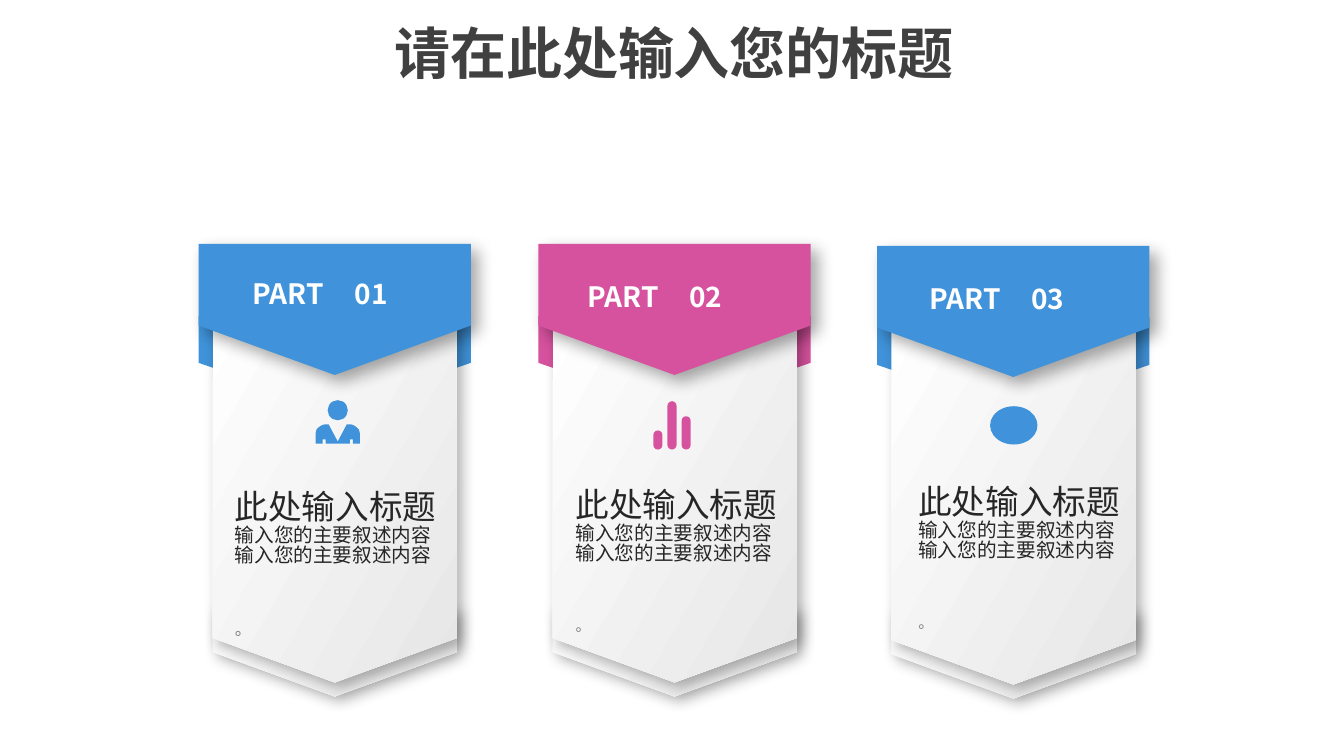
"""Build a slide with three ribbon cards under one title."""
from lxml.etree import SubElement
from pptx import Presentation
from pptx.dml.color import RGBColor
from pptx.enum.shapes import MSO_SHAPE
from pptx.enum.text import MSO_ANCHOR, PP_ALIGN
from pptx.oxml.ns import qn
from pptx.util import Inches, Pt

COLORS = {"blue": "4093DA", "pink": "D7529E", "title": "404040", "text": "262626",
          "gray": "808080", "white": "FFFFFF", "silver": "E6E6E6", "black": "000000"}
FONT = "Noto Sans CJK SC"


def write(paragraph, text, size, color, font=FONT, bold=False, align=PP_ALIGN.LEFT,
          spacing=0.85, before=0, tab=None):
    """Fill one paragraph with formatted text."""
    paragraph.alignment = align
    paragraph.line_spacing = spacing
    paragraph.space_before = Pt(before)
    if tab:
        tabs = SubElement(paragraph._p.get_or_add_pPr(), qn("a:tabLst"))
        SubElement(tabs, qn("a:tab"), pos=str(Inches(tab)), algn="l")
    run = paragraph.add_run()
    run.text = text
    run.font.size = Pt(size)
    run.font.bold = bold
    run.font.name = font
    run.font.color.rgb = RGBColor.from_string(COLORS[color])
    SubElement(run._r.get_or_add_rPr(), qn("a:ea"), typeface=font)


def paint(shape, color=None, shadow=None):
    """Fill a shape with a colour or the silver gradient, and an optional shadow."""
    shape.line.fill.background()
    shape.shadow.inherit = False
    if color:
        shape.fill.solid()
        shape.fill.fore_color.rgb = RGBColor.from_string(COLORS[color])
    else:
        shape.fill.gradient()
        shape.fill.gradient_angle = 330
        for stop, name in zip(shape.fill.gradient_stops, ("white", "silver")):
            stop.color.rgb = RGBColor.from_string(COLORS[name])
    if shadow:
        alpha, blur, distance = shadow
        effects = shape._element.spPr.find(qn("a:effectLst"))
        outer = SubElement(effects, qn("a:outerShdw"), blurRad=str(Pt(blur)),
                           dist=str(Pt(distance)), dir="2700000", algn="tl", rotWithShape="0")
        tone = SubElement(outer, qn("a:srgbClr"), val=COLORS["black"])
        SubElement(tone, qn("a:alpha"), val=str(alpha * 1000))


presentation = Presentation()
presentation.slide_width = Inches(13.33)
presentation.slide_height = Inches(7.5)
slide = presentation.slides.add_slide(presentation.slide_layouts[5])
shapes = slide.shapes

title = shapes.title
title.left, title.top, title.width, title.height = map(Inches, (3.77, 0.24, 5.83, 0.77))
title.text_frame.word_wrap = False
title.text_frame.vertical_anchor = MSO_ANCHOR.TOP
write(title.text_frame.paragraphs[0], "请在此处输入您的标题", 40, "title",
      bold=True, align=PP_ALIGN.CENTER)

panel_shadow, band_shadow = (30, 10, 5), (35, 12, 7)
cards = [
    (3.32, 2.42, "blue", "01", (2.41, 2.75), (2.23, 4.83), 12),
    (6.69, 2.42, "pink", "02", (5.73, 2.77), (5.61, 4.81), 11),
    (10.05, 2.44, "blue", "03", (9.12, 2.79), (9.01, 4.78), 11),
]
for center, top, color, number, label_at, text_at, mark_size in cards:
    arrows = [(1.18, 0.93, 2.7, color, None), (4.05, 0.88, 2.42, None, panel_shadow)]
    for middle, length, breadth, fill, shadow in arrows:
        arrow = shapes.add_shape(
            MSO_SHAPE.PENTAGON, Inches(center - length / 2),
            Inches(top + middle - breadth / 2), Inches(length), Inches(breadth))
        arrow.rotation = 270
        arrow._element.spPr.xfrm.set("flipH", "1")
        paint(arrow, fill, shadow)

    outlines = [(1.21, 0.7, 3.91, 4.35, None, panel_shadow),
                (1.35, 0, 0.81, 1.3, color, band_shadow)]
    for half, upper, side, tip, fill, shadow in outlines:
        corners = [(half, upper), (half, side), (0, tip), (-half, side)]
        builder = shapes.build_freeform(Inches(center - half), Inches(top + upper), scale=1)
        builder.add_line_segments([(Inches(center + x), Inches(top + y)) for x, y in corners])
        paint(builder.convert_to_shape(), fill, shadow)

    label = shapes.add_shape(MSO_SHAPE.RECTANGLE, *map(Inches, (*label_at, 1.83, 0.44)))
    paint(label, color)
    label.text_frame.vertical_anchor = MSO_ANCHOR.TOP
    write(label.text_frame.paragraphs[0], "PART\t" + number, 20, "white", bold=True, tab=1.01)

    frame = shapes.add_textbox(*map(Inches, (*text_at, 2.22, 1.7))).text_frame
    frame.word_wrap = False
    write(frame.paragraphs[0], "此处输入标题", 24, "text")
    for line in range(2):
        write(frame.add_paragraph(), "输入您的主要叙述内容", 14, "text")
    write(frame.add_paragraph(), "。", mark_size, "gray", font="Arial", spacing=1.3, before=33)

for left, top, width, height in [(3.25, 3.97, 0.2, 0.2), (9.82, 4.03, 0.47, 0.38)]:
    paint(shapes.add_shape(MSO_SHAPE.OVAL, *map(Inches, (left, top, width, height))), "blue")

person_half = [(0, 4.38), (0.09, 4.21), (0.13, 4.21), (0.16, 4.22), (0.19, 4.24), (0.21, 4.26),
               (0.22, 4.3), (0.22, 4.4), (0.15, 4.4), (0.15, 4.36), (0.12, 4.36), (0.12, 4.4)]
person = person_half + [(-x, y) for x, y in reversed(person_half[1:])]
builder = shapes.build_freeform(Inches(3.35), Inches(4.38), scale=1)
builder.add_line_segments([(Inches(3.35 + x), Inches(y)) for x, y in person[1:]])
paint(builder.convert_to_shape(), "blue")

for index, height in enumerate((0.19, 0.48, 0.33)):
    bar = shapes.add_shape(MSO_SHAPE.ROUNDED_RECTANGLE, Inches(6.48 + 0.14 * index),
                           Inches(4.46 - height), Inches(0.09), Inches(height))
    bar.adjustments[0] = 0.5
    paint(bar, "pink")

presentation.save("out.pptx")
